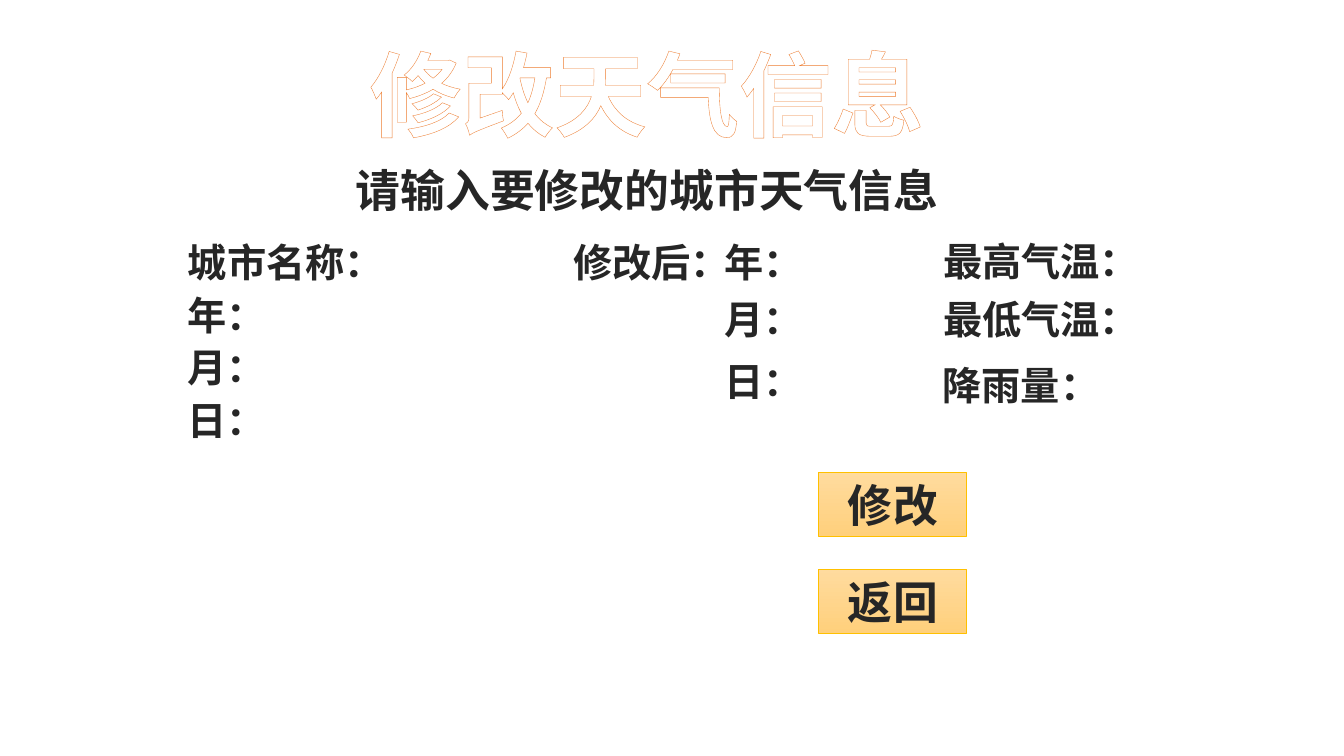
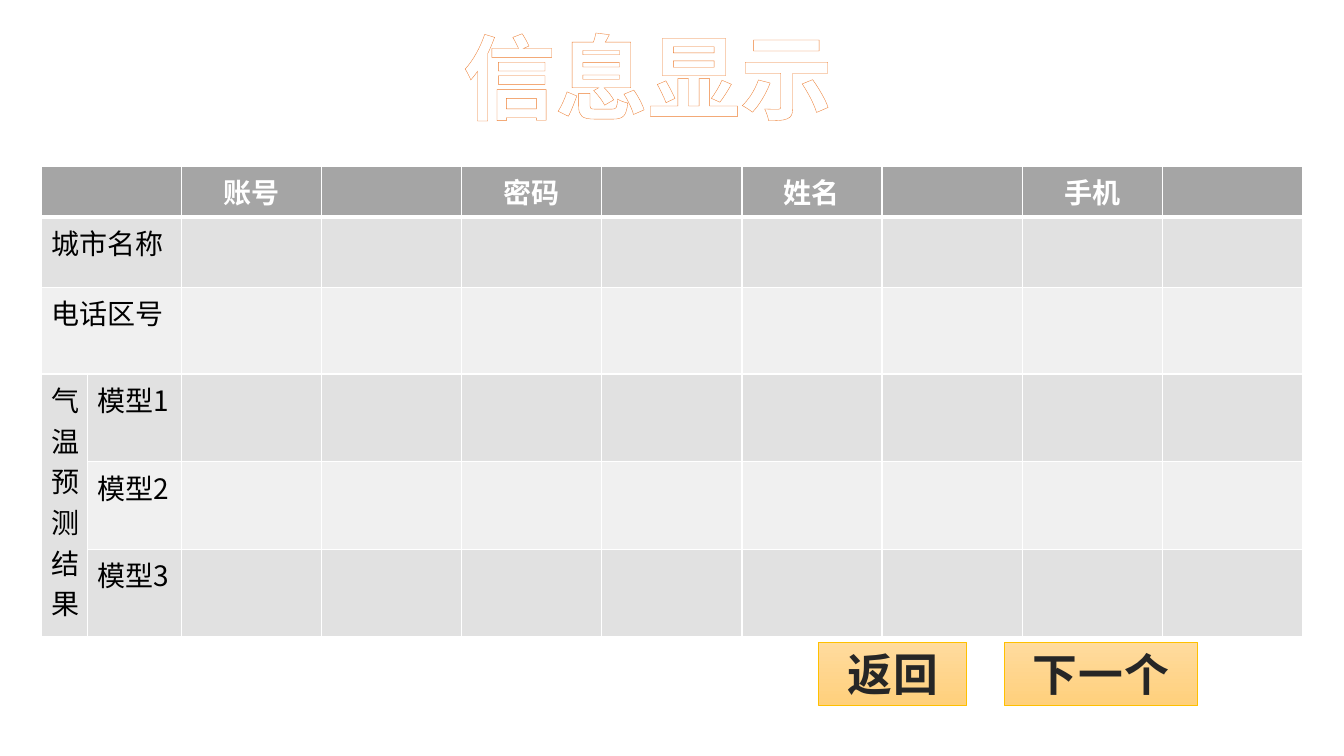
from dataclasses import dataclass
from typing import Optional

from lxml import etree
from pptx import Presentation
from pptx.dml.color import RGBColor
from pptx.enum import shapes, text
from pptx.oxml import ns
from pptx.util import Inches, Pt

# Shared look
FONT = "Noto Sans CJK SC"
WHITE, DARK, BLACK = "FFFFFF", "262626", "000000"
ORANGE, GOLD = "ED7D31", "FFC000"
BUTTON_TOP, BUTTON_BOTTOM = "FFDB9E", "FFD07C"
HEADER_FILL, BANDS = "A5A5A5", ("E1E1E1", "F0F0F0")
CENTER = text.PP_ALIGN.CENTER


@dataclass
class Label:
    words: str
    left: float
    top: float
    width: float
    height: float = 0.57
    size: float = 28
    color: str = DARK
    outline: str = WHITE
    outline_width: float = 1.06
    wrap: bool = False


@dataclass
class Button:
    words: str
    left: float
    top: float
    width: float = 1.47


def rgb(value: str) -> RGBColor:
    return RGBColor.from_string(value)


def add_line_xml(parent, tag: str, color: str, width: float, index: int) -> None:
    """Insert a solid line (text outline or cell border) into parent."""
    line = etree.Element(ns.qn(tag), w=str(Pt(width)))
    fill = etree.SubElement(line, ns.qn("a:solidFill"))
    etree.SubElement(fill, ns.qn("a:srgbClr"), val=color)
    parent.insert(index, line)


def write(frame, words: str, *, size: float, color: str, bold: bool = True,
          align: Optional[text.PP_ALIGN] = CENTER, outline: Optional[str] = None,
          outline_width: float = 1.06, spacing: float = 0) -> None:
    paragraph = frame.paragraphs[0]
    paragraph.alignment = align
    run = paragraph.add_run()
    run.text = words
    run.font.size, run.font.bold, run.font.name = Pt(size), bold, FONT
    run.font.color.rgb = rgb(color)
    properties = run._r.get_or_add_rPr()
    etree.SubElement(properties, ns.qn("a:ea"), typeface=FONT)
    if spacing:
        properties.set("spc", str(round(spacing * 100)))
    if outline:
        add_line_xml(properties, "a:ln", outline, outline_width, 0)


def add_label(slide, label: Label) -> None:
    box = slide.shapes.add_textbox(Inches(label.left), Inches(label.top),
                                   Inches(label.width), Inches(label.height))
    frame = box.text_frame
    frame.word_wrap = label.wrap
    frame.auto_size = text.MSO_AUTO_SIZE.SHAPE_TO_FIT_TEXT
    write(frame, label.words, size=label.size, color=label.color,
          outline=label.outline, outline_width=label.outline_width)


def add_title(slide, words: str, left: float, top: float, width: float) -> None:
    add_label(slide, Label(words, left, top, width, 1.21, 66, WHITE, ORANGE, 0.52, True))


def add_button(slide, button: Button) -> None:
    shape = slide.shapes.add_shape(shapes.MSO_SHAPE.RECTANGLE, Inches(button.left),
                                   Inches(button.top), Inches(button.width), Inches(0.63))
    shape.shadow.inherit = False
    shape.fill.gradient()
    shape.fill.gradient_angle = 270
    for stop, color in zip(shape.fill.gradient_stops, (BUTTON_TOP, BUTTON_BOTTOM)):
        stop.color.rgb = rgb(color)
    shape.line.color.rgb = rgb(GOLD)
    shape.line.width = Pt(0.5)
    shape.text_frame.vertical_anchor = text.MSO_ANCHOR.MIDDLE
    write(shape.text_frame, button.words, size=32, color=DARK, outline=WHITE, spacing=0.5)


def style_cell(cell, fill: str, bottom: float) -> None:
    properties = cell._tc.get_or_add_tcPr()
    for index, (side, width) in enumerate(zip("LRTB", (1, 1, 1, bottom))):
        add_line_xml(properties, f"a:ln{side}", WHITE, width, index)
    cell.fill.solid()
    cell.fill.fore_color.rgb = rgb(fill)


def add_info_table(slide) -> None:
    widths = [0.46, 0.93] + [1.39] * 8
    heights = [0.5, 0.7, 0.86] + [0.87] * 3
    table = slide.shapes.add_table(len(heights), len(widths), Inches(0.41), Inches(1.65),
                                   Inches(sum(widths)), Inches(sum(heights))).table
    table.first_row = table.horz_banding = False
    for column, width in zip(table.columns, widths):
        column.width = Inches(width)
    for index, (row, height) in enumerate(zip(table.rows, heights)):
        row.height = Inches(height)
        for cell in row.cells:
            if index == 0:
                style_cell(cell, HEADER_FILL, 3)
            else:
                style_cell(cell, BANDS[(index - 1) % 2], 1)

    # Row labels span both narrow columns; the forecast label spans its models
    for row in range(3):
        table.cell(row, 0).merge(table.cell(row, 1))
    table.cell(3, 0).merge(table.cell(5, 0))

    for column, words in zip(range(2, 10, 2), ("账号", "密码", "姓名", "手机")):
        write(table.cell(0, column).text_frame, words, size=20, color=WHITE)
    row_labels = {(1, 0): "城市名称", (2, 0): "电话区号", (3, 0): "气温预测结果"}
    row_labels |= {(2 + model, 1): f"模型{model}" for model in (1, 2, 3)}
    for (row, column), words in row_labels.items():
        write(table.cell(row, column).text_frame, words, size=20, color=BLACK,
              bold=False, align=None)


def build_edit_slide(slide) -> None:
    add_title(slide, "修改天气信息", 3.08, 0.32, 6.67)
    labels = [
        Label("请输入要修改的城市天气信息", 2.84, 1.57, 7.16, 0.64, size=32, wrap=True),
        # Record to look up
        Label("城市名称：", 1.19, 2.32, 3.29, wrap=True),
        Label("年：", 1.75, 2.84, 0.99),
        Label("月：", 1.75, 3.36, 0.99),
        Label("日：", 1.75, 3.88, 0.99),
        # New values
        Label("修改后：", 5.58, 2.32, 1.77),
        Label("年：", 7.08, 2.32, 0.99),
        Label("月：", 7.08, 2.88, 0.99),
        Label("日：", 7.08, 3.5, 0.99),
        Label("最高气温：", 9.24, 2.31, 2.17),
        Label("最低气温：", 9.24, 2.88, 2.17),
        Label("降雨量：", 9.24, 3.54, 1.77),
    ]
    for label in labels:
        add_label(slide, label)
    for button in (Button("修改", 8.12, 4.69), Button("返回", 8.12, 5.65)):
        add_button(slide, button)


def build_display_slide(slide) -> None:
    add_title(slide, "信息显示", 2.08, 0.15, 8.69)
    for button in (Button("返回", 8.12, 6.37), Button("下一个", 9.96, 6.37, 1.92)):
        add_button(slide, button)
    add_info_table(slide)


def main() -> None:
    presentation = Presentation()
    presentation.slide_width, presentation.slide_height = Inches(13.33), Inches(7.5)
    blank = presentation.slide_layouts[6]
    for build in (build_edit_slide, build_display_slide):
        build(presentation.slides.add_slide(blank))
    presentation.save("out.pptx")


if __name__ == "__main__":
    main()
